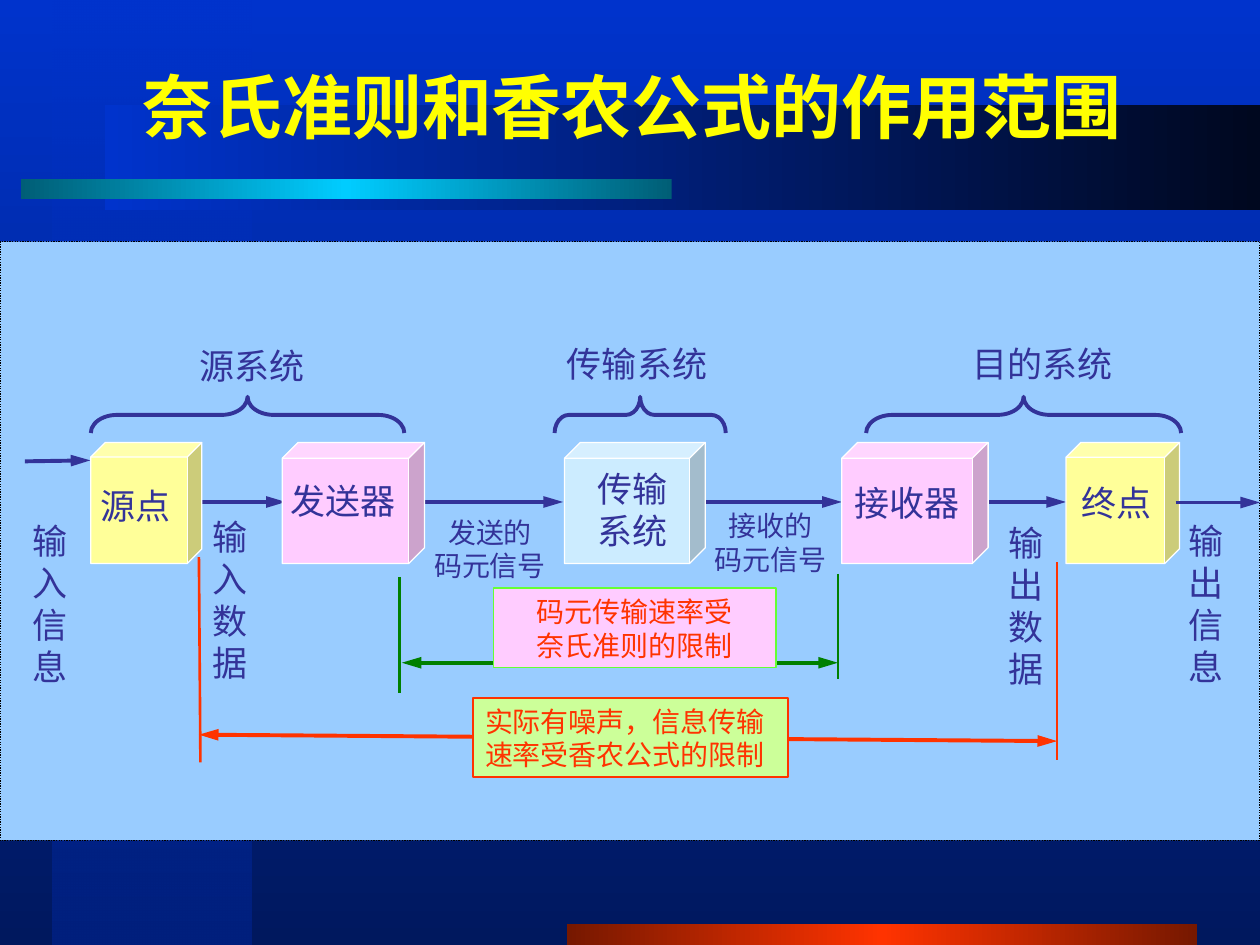
from lxml.etree import SubElement
from pptx import Presentation
from pptx.dml.color import RGBColor
from pptx.enum.dml import MSO_LINE
from pptx.enum.shapes import MSO_CONNECTOR, MSO_SHAPE
from pptx.enum.text import MSO_ANCHOR, MSO_AUTO_SIZE, PP_ALIGN
from pptx.oxml.ns import qn
from pptx.util import Cm, Pt

COLORS = {
    "blue": "0033CC", "navy": "00185E", "midnight": "00081F", "deep": "00207E",
    "rust": "761800", "red": "FF3300", "teal": "005E76", "cyan": "00CCFF",
    "sky": "99CCFF", "black": "000000", "white": "FFFFFF", "title": "FFFF01",
    "indigo": "333399", "green": "008000", "pink": "FFCCFF", "lime": "66FF33",
    "yellow": "FFFF99", "ice": "CCECFF", "pale": "CCFF99",
}


class DiagramSlide:
    """Draws styled elements, measured in centimetres, on one slide."""

    font = "Noto Sans CJK SC"

    def __init__(self, slide):
        self.slide = slide
        self.shapes = slide.shapes

    def color(self, name):
        return RGBColor.from_string(COLORS[name])

    def gradient(self, fill, owner, stops, angle):
        fill.gradient()
        fill.gradient_angle = -angle % 360
        stop_list = next(owner.iter(qn("a:gsLst")))
        for old_stop in list(stop_list):
            stop_list.remove(old_stop)
        for position, name, *opacity in stops:
            stop = SubElement(stop_list, qn("a:gs"), pos=str(position * 1000))
            tint = SubElement(stop, qn("a:srgbClr"), val=COLORS[name])
            for percent in opacity:
                SubElement(tint, qn("a:alpha"), val=str(percent * 1000))

    def background(self, stops, angle):
        self.gradient(self.slide.background.fill, self.slide.element, stops, angle)

    def shape(self, kind, box, fill=None, line=None, width=0.75):
        shape = self.shapes.add_shape(kind, *map(Cm, box))
        shape.shadow.inherit = False
        if fill:
            shape.fill.solid()
            shape.fill.fore_color.rgb = self.color(fill)
        else:
            shape.fill.background()
        if line:
            shape.line.color.rgb = self.color(line)
            shape.line.width = Pt(width)
        else:
            shape.line.fill.background()
        return shape

    def band(self, box, stops, angle=0):
        band = self.shape(MSO_SHAPE.RECTANGLE, box)
        self.gradient(band.fill, band.element, stops, angle)

    def panel(self, box, fill, line):
        panel = self.shape(MSO_SHAPE.RECTANGLE, box, fill, line)
        panel.line.dash_style = MSO_LINE.ROUND_DOT

    def cube(self, box, fill):
        cube = self.shape(MSO_SHAPE.CUBE, box, fill, "white")
        cube.adjustments[0] = 0.131

    def brace(self, left, top, span, depth=0.73):
        shift = (span - depth) / 2
        brace = self.shape(MSO_SHAPE.LEFT_BRACE, (left + shift, top - shift, depth, span),
                           line="indigo", width=2.25)
        brace.rotation = 90
        brace.adjustments[0] = span / depth / 12

    def line(self, start, end, color="indigo", width=2.25, heads=("tailEnd",)):
        line = self.shapes.add_connector(MSO_CONNECTOR.STRAIGHT, *map(Cm, start + end))
        line.line.color.rgb = self.color(color)
        line.line.width = Pt(width)
        properties = line.element.spPr
        for head in heads:
            SubElement(properties.find(qn("a:ln")), qn(f"a:{head}"),
                       type="triangle", w="med", len="lg")
        SubElement(properties, qn("a:effectLst"))

    def typeset(self, frame, text, size, color, align, bold=False, spacing=None):
        frame.text = text
        frame.word_wrap = True
        for paragraph in frame.paragraphs:
            paragraph.alignment = align
            paragraph.line_spacing = spacing
            for run in paragraph.runs:
                run.font.size = Pt(size)
                run.font.bold = bold
                run.font.name = self.font
                run.font.color.rgb = self.color(color)
                SubElement(run.font._element, qn("a:ea"), typeface=self.font)

    def title(self, text, box):
        title = self.shapes.title
        title.left, title.top, title.width, title.height = map(Cm, box)
        self.shapes.element.append(title.element)
        frame = title.text_frame
        self.typeset(frame, text, 40, "title", PP_ALIGN.CENTER, bold=True)
        frame.vertical_anchor = MSO_ANCHOR.MIDDLE
        frame.margin_right = Cm(0.61)

    def body(self, frame, text, size, color, align):
        self.typeset(frame, text, size, color, align, spacing=Pt(size * 1.2))
        frame.vertical_anchor = MSO_ANCHOR.TOP
        frame.auto_size = MSO_AUTO_SIZE.SHAPE_TO_FIT_TEXT

    def label(self, text, box, size=20, align=PP_ALIGN.LEFT):
        label = self.shapes.add_textbox(*map(Cm, box))
        self.body(label.text_frame, text, size, "indigo", align)

    def note(self, text, box, fill, line, align=PP_ALIGN.LEFT):
        note = self.shape(MSO_SHAPE.RECTANGLE, box, fill, line, 1)
        self.body(note.text_frame, text, 16, "red", align)


def main():
    deck = Presentation()
    deck.slide_width, deck.slide_height = Cm(25.4), Cm(19.05)
    page = DiagramSlide(deck.slides.add_slide(deck.slide_layouts[5]))

    page.background([(0, "blue"), (100, "navy")], 90)
    page.band((1.06, 0, 4.02, 19.05), [(0, "blue", 50), (100, "deep")], 90)
    page.band((11.43, 18.63, 12.7, 0.42), [(0, "rust"), (50, "red"), (100, "rust")])
    page.band((2.12, 2.12, 23.28, 2.12), [(0, "blue"), (100, "midnight")])
    page.band((0.42, 3.6, 13.12, 0.42), [(0, "teal"), (50, "cyan"), (100, "teal")])
    page.panel((0, 4.87, 25.4, 12.07), "sky", "black")
    page.title("奈氏准则和香农公式的作用范围", (0, 0.85, 25.83, 2.54))

    both_ends = ("headEnd", "tailEnd")
    for x, top, bottom in [(8.05, 11.63, 13.97), (16.89, 11.57, 13.69)]:
        page.line((x, top), (x, bottom), "green", 1.5, ())
    page.line((8.1, 13.36), (16.89, 13.36), "green", heads=both_ends)
    page.note("码元传输速率受\n奈氏准则的限制", (9.95, 11.86, 5.69, 1.6),
              "pink", "lime", PP_ALIGN.CENTER)

    page.line((0.5, 9.3), (1.82, 9.28))
    for start, end in [(3.94, 5.76), (8.18, 11.35), (13.97, 16.97), (19.79, 21.49)]:
        page.line((start, 10.12), (end, 10.12))

    for text, left, top in [("输入信息", 0.41, 10.34), ("输出信息", 23.7, 10.34),
                            ("输入数据", 4.04, 10.26), ("输出数据", 20.09, 10.39)]:
        page.label(text, (left, top, 1.7, 3.63))

    for left, span in [(1.83, 6.32), (11.18, 3.45), (17.46, 6.35)]:
        page.brace(left, 8, span)
    for text, left, top, width in [("源系统", 3.78, 6.83, 2.9),
                                   ("传输系统", 11.18, 6.78, 3.38),
                                   ("目的系统", 19.35, 6.78, 3.61)]:
        page.label(text, (left, top, width, 1.09))

    for left, width, fill in [(1.83, 2.24, "yellow"), (5.69, 2.87, "pink"),
                              (11.38, 2.84, "ice"), (16.97, 2.95, "pink"),
                              (21.49, 2.29, "yellow")]:
        page.cube((left, 8.92, width, 2.44), fill)
    page.label("传输\n系统", (11.79, 9.3, 2.18, 1.93))
    for text, left, top, width in [("源点", 1.78, 9.65, 2.11), ("终点", 21.56, 9.58, 2.11),
                                   ("发送器", 5.61, 9.55, 2.74), ("接收器", 16.97, 9.58, 2.74)]:
        page.label(text, (left, top, width, 1.09))

    for text, box in [("发送的\n码元信号", (8.38, 10.26, 3, 1.6)),
                      ("接收的\n码元信号", (14.1, 10.13, 2.87, 1.6))]:
        page.label(text, box, 16, PP_ALIGN.CENTER)

    for start, end in [((4.01, 11.23), (4.04, 15.37)), ((21.31, 11.33), (21.31, 15.32))]:
        page.line(start, end, "red", 1.5, ())
    page.line((4.01, 14.81), (21.31, 14.94), "red", heads=both_ends)
    page.note("实际有噪声，信息传输速率受香农公式的限制", (9.53, 14.07, 6.35, 1.6),
              "pale", "red")
    page.line((23.7, 10.13), (25.4, 10.13))

    deck.save("out.pptx")


if __name__ == "__main__":
    main()
